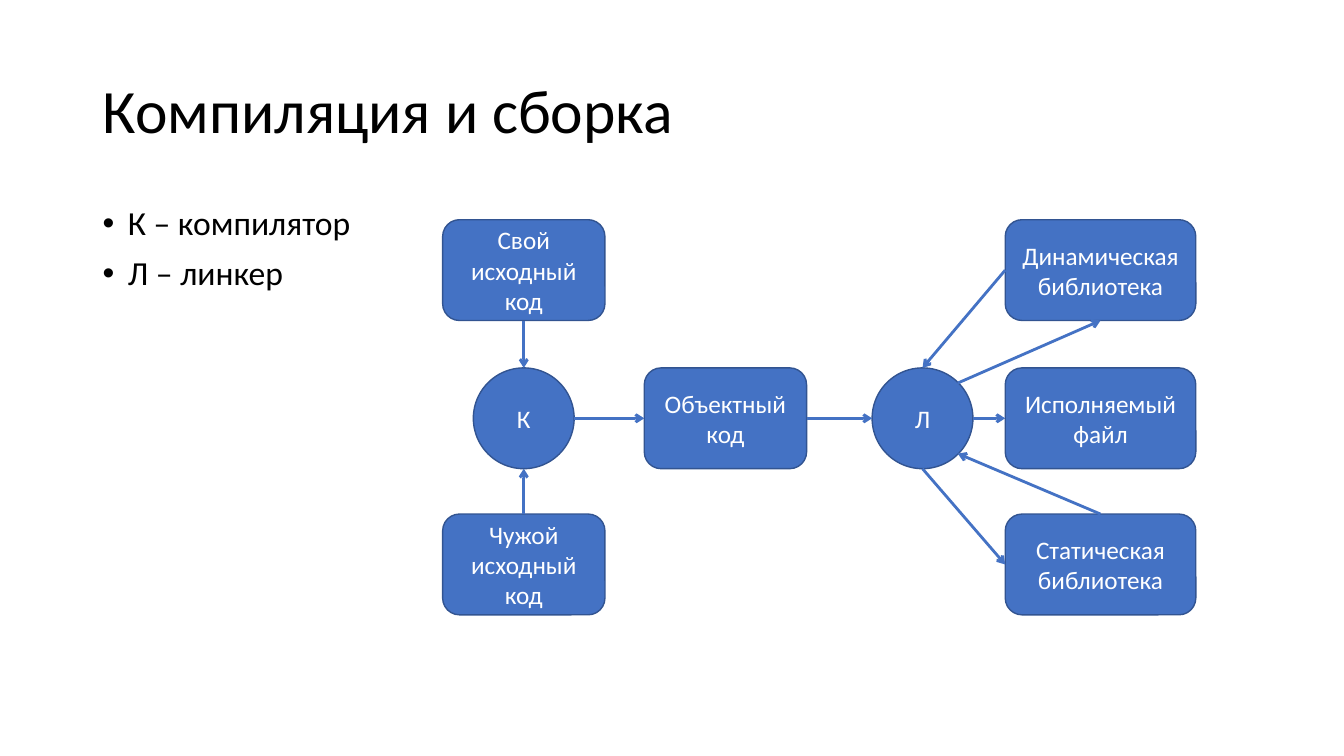
"""Build a slide on compiling and linking."""
from pptx import Presentation
from pptx.dml.color import RGBColor
from pptx.enum import shapes as sh, text as tx
from pptx.oxml import xmlchemy as xc
from pptx.util import Inches, Pt

BLUE, EDGE, WHITE, BLACK = "4472C4", "325491", "FFFFFF", "000000"
SITES = {"top": (0.5, 0), "left": (0, 0.5), "bottom": (0.5, 1),
         "right": (1, 0.5), "upper": (0.85, 0.15), "lower": (0.85, 0.85)}


def color(fmt, code):
    """Set a colour from a hex string."""
    fmt.rgb = RGBColor.from_string(code)


def style(para, size, code):
    """Set the font of a paragraph."""
    para.font.name = "Calibri"
    para.font.size = Pt(size)
    color(para.font.color, code)


def child(parent, tag, **attrs):
    """Append a drawing element with its attributes."""
    item = xc.OxmlElement(tag)
    for name, value in attrs.items():
        item.set(name, value)
    parent.append(item)


def frame(slide, box, anchor):
    """Add a wrapping text box and return its frame."""
    area = slide.shapes.add_textbox(*map(Inches, box)).text_frame
    area.word_wrap = True
    area.vertical_anchor = anchor
    return area


def title(slide, box, words):
    """Add the slide title."""
    para = frame(slide, box, tx.MSO_ANCHOR.MIDDLE).paragraphs[0]
    para.text = words
    para.line_spacing = 0.9
    style(para, 44, BLACK)


def legend(slide, box, lines):
    """Add the bulleted legend."""
    area = frame(slide, box, tx.MSO_ANCHOR.TOP)
    for i, line in enumerate(lines):
        para = area.add_paragraph() if i else area.paragraphs[0]
        para.text = line
        para.line_spacing = 0.9
        para.space_before = Pt(10)
        style(para, 24, BLACK)
        props = para._p.get_or_add_pPr()
        props.set("marL", str(Inches(0.25)))
        props.set("indent", str(Inches(-0.25)))
        child(props, "a:buFont", typeface="Arial")
        child(props, "a:buChar", char="•")


def node(slide, kind, box, words):
    """Add one labelled node."""
    shape = slide.shapes.add_shape(kind, *map(Inches, box))
    shape.shadow.inherit = False
    shape.fill.solid()
    color(shape.fill.fore_color, BLUE)
    color(shape.line.color, EDGE)
    shape.line.width = Pt(1)
    area = shape.text_frame
    area.word_wrap = True
    area.vertical_anchor = tx.MSO_ANCHOR.MIDDLE
    para = area.paragraphs[0]
    para.text = words
    para.alignment = tx.PP_ALIGN.CENTER
    style(para, 18, WHITE)
    return shape


def point(shape, site):
    """Return the place of a site on a node."""
    x, y = SITES[site]
    return (int(shape.left + x * shape.width),
            int(shape.top + y * shape.height))


def arrow(slide, start, end):
    """Add an arrow between two points."""
    line = slide.shapes.add_connector(sh.MSO_CONNECTOR.STRAIGHT, *start, *end)
    color(line.line.color, BLUE)
    line.line.width = Pt(2)
    child(line.line._get_or_add_ln(), "a:tailEnd", type="arrow")
    child(line._element.spPr, "a:effectLst")


def diagram(slide, box):
    """Add the build diagram inside a box."""
    left, top, width, height = box
    code, goal, size = 1.61, 1.89, 1
    low = top + height - size
    mid = top + 1.47
    last = left + width - goal
    rect = sh.MSO_SHAPE.ROUNDED_RECTANGLE
    disc = sh.MSO_SHAPE.OVAL
    parts = {
        "own": (rect, left, top, code, "Свой исходный код"),
        "alien": (rect, left, low, code, "Чужой исходный код"),
        "comp": (disc, left + (code - size) / 2, mid, size, "К"),
        "object": (rect, left + 2, mid, code, "Объектный код"),
        "link": (disc, left + 4.26, mid, size, "Л"),
        "shared": (rect, last, top, goal, "Динамическая библиотека"),
        "program": (rect, last, mid, goal, "Исполняемый файл"),
        "static": (rect, last, low, goal, "Статическая библиотека"),
    }
    nodes = {name: node(slide, kind, (x, y, wide, size), words)
             for name, (kind, x, y, wide, words) in parts.items()}
    for tail, out, head, into in (
            ("own", "bottom", "comp", "top"),
            ("alien", "top", "comp", "bottom"),
            ("comp", "right", "object", "left"),
            ("object", "right", "link", "left"),
            ("link", "right", "program", "left"),
            ("link", "upper", "shared", "bottom"),
            ("shared", "left", "link", "top"),
            ("link", "bottom", "static", "left"),
            ("static", "top", "link", "lower")):
        arrow(slide, point(nodes[tail], out), point(nodes[head], into))


def main():
    """Build and save the slide."""
    deck = Presentation()
    deck.slide_width, deck.slide_height = Inches(13.33), Inches(7.5)
    slide = deck.slides.add_slide(deck.slide_layouts[6])
    title(slide, (0.92, 0.4, 11.5, 1.45), "Компиляция и сборка")
    legend(slide, (0.92, 2, 5.67, 4.76), ("К – компилятор", "Л – линкер"))
    diagram(slide, (4.39, 2.18, 7.47, 3.92))
    deck.save("out.pptx")


main()
